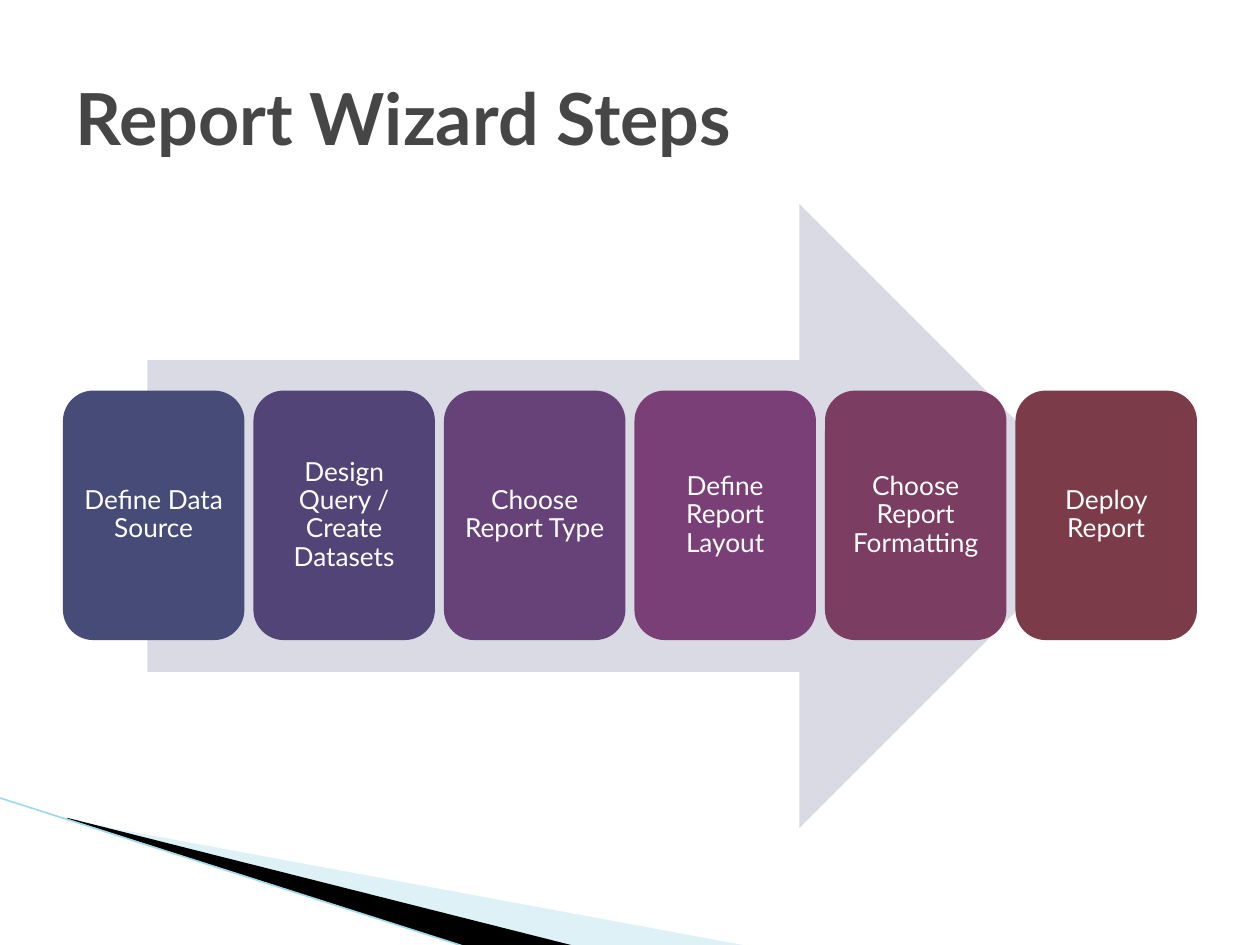
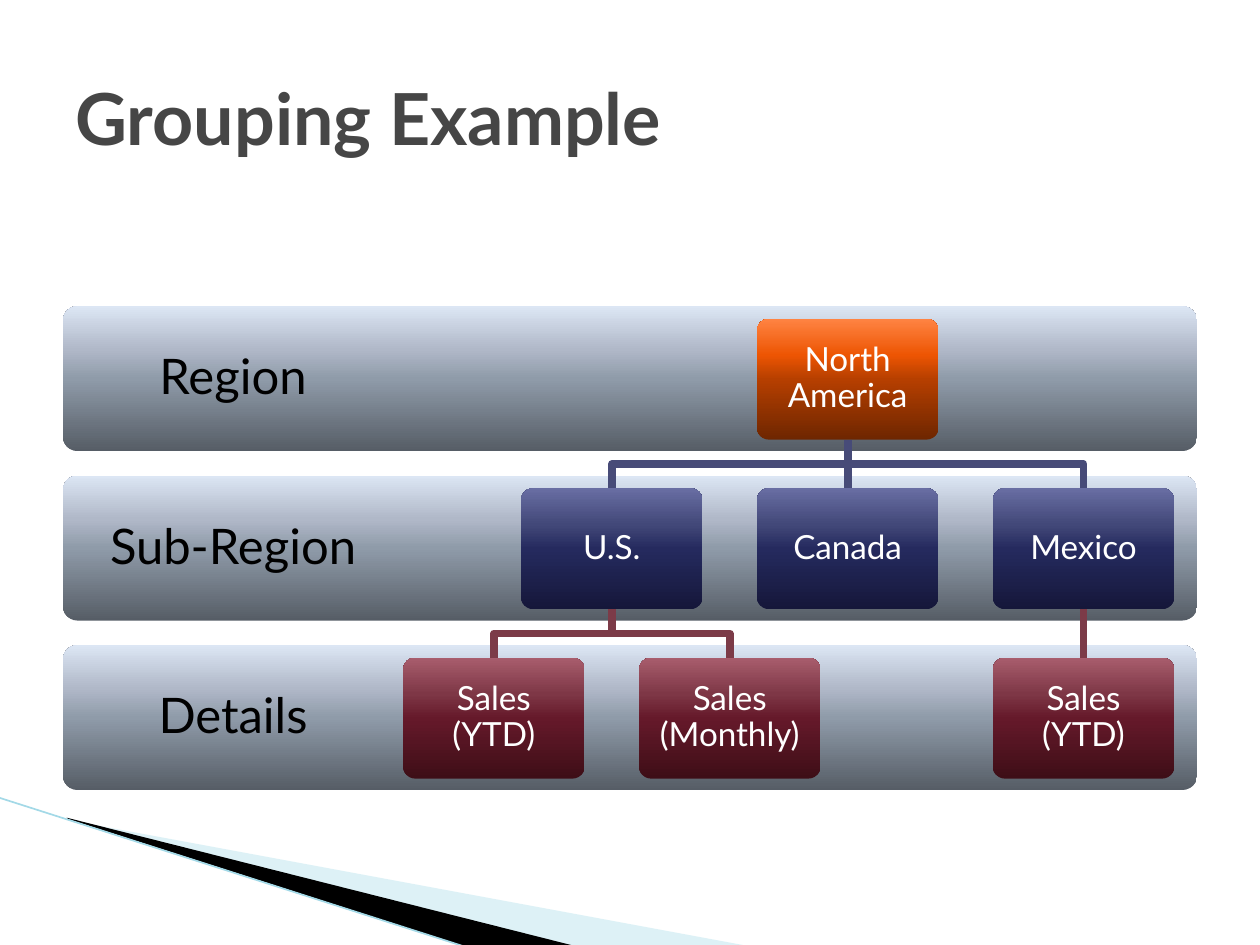
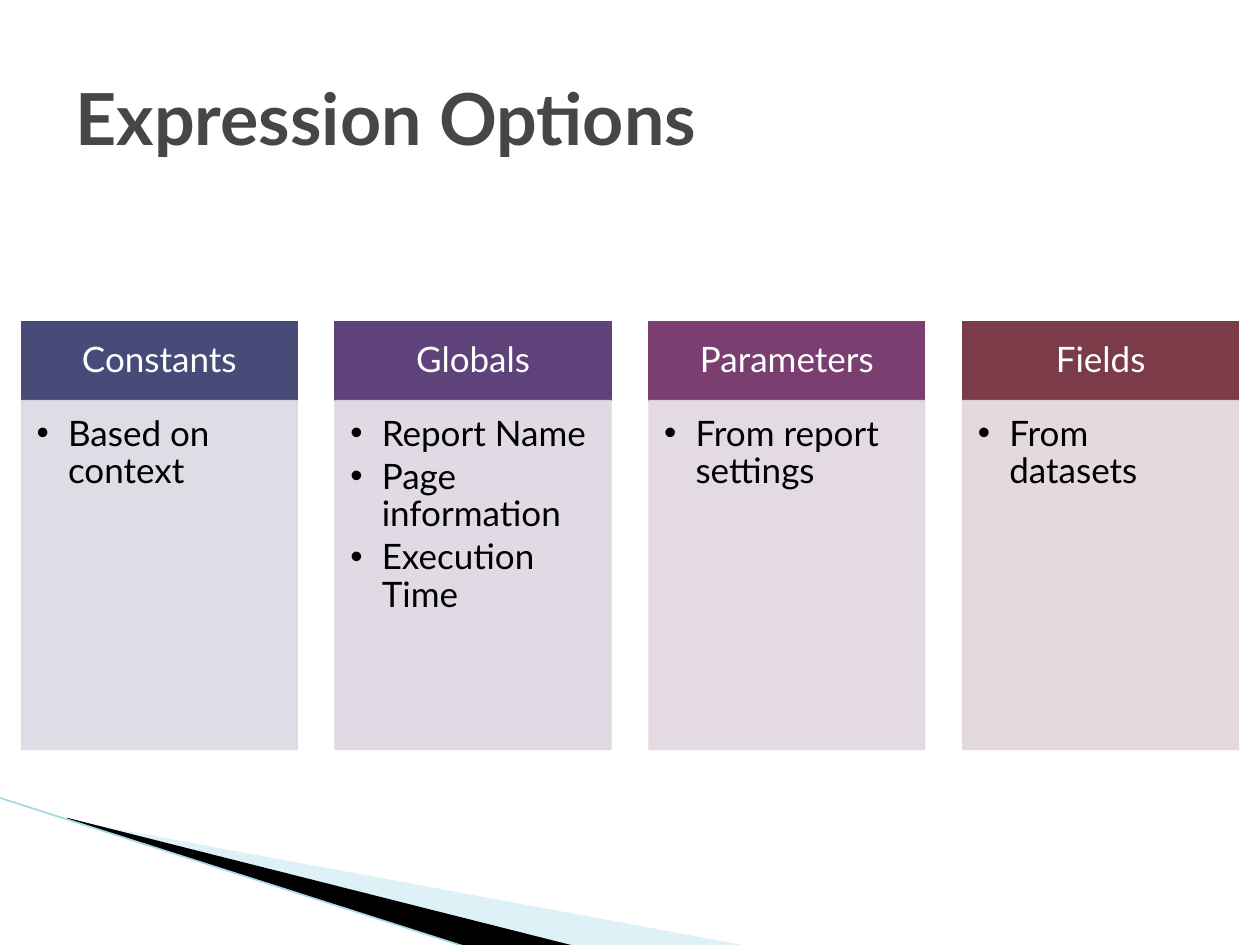
from lxml.etree import SubElement
from pptx import Presentation
from pptx.dml.color import RGBColor
from pptx.enum.shapes import MSO_CONNECTOR as CONNECTOR, MSO_SHAPE as SHAPE
from pptx.enum.text import MSO_ANCHOR as ANCHOR, PP_ALIGN as ALIGN
from pptx.oxml.ns import qn
from pptx.util import Inches, Pt

FONT = "Lato"
WHITE = RGBColor(0xFF, 0xFF, 0xFF)
BLACK = RGBColor(0, 0, 0)
TITLE_GREY = RGBColor(0x46, 0x46, 0x46)
PALE_CYAN = RGBColor(0xAB, 0xDE, 0xEA)
LINE_CYAN = RGBColor(0xA3, 0xD9, 0xE7)
MIST = RGBColor(0xD9, 0xDA, 0xE3)
LILAC = RGBColor(0xDD, 0xD7, 0xE2)
PINK = RGBColor(0xE2, 0xD7, 0xE0)
ROSE = RGBColor(0xE2, 0xD7, 0xD8)
NAVY = RGBColor(0x47, 0x4B, 0x78)
INDIGO = RGBColor(0x53, 0x44, 0x78)
VIOLET = RGBColor(0x66, 0x42, 0x79)
PURPLE = RGBColor(0x5F, 0x42, 0x79)
PLUM = RGBColor(0x7A, 0x3F, 0x77)
MAGENTA = RGBColor(0x7B, 0x3E, 0x71)
BERRY = RGBColor(0x7B, 0x3D, 0x61)
MAROON = RGBColor(0x7C, 0x3B, 0x48)

# Gradient colours from bottom to top, at the positions in GRADIENT_STOPS
GRADIENT_STOPS = (0, 50, 70, 100)
STEEL_GRADIENT = ("565D66", "8F9BA9", "B0B8C8", "DCE6F4")
ORANGE_GRADIENT = ("6E2600", "B63F00", "ED5503", "FF8443")
NAVY_GRADIENT = ("15173A", "252A5E", "424879", "696EA3")
MAROON_GRADIENT = ("3E0E17", "65192A", "7E3746", "A85D6D")

# Content
STEPS = [
    ("Define Data Source", NAVY),
    ("Design Query / Create Datasets", INDIGO),
    ("Choose Report Type", VIOLET),
    ("Define Report Layout", PLUM),
    ("Choose Report Formatting", BERRY),
    ("Deploy Report", MAROON),
]
LEVELS = [  # band label, box gradient, colour of the line from the parent
    ("Region", ORANGE_GRADIENT, None),
    ("Sub-Region", NAVY_GRADIENT, NAVY),
    ("Details", MAROON_GRADIENT, MAROON),
]
NODES = [  # text, level, column, index of the parent
    ("North America", 0, 3, None),
    ("U.S.", 1, 1, 0),
    ("Canada", 1, 3, 0),
    ("Mexico", 1, 5, 0),
    ("Sales (YTD)", 2, 0, 1),
    ("Sales (Monthly)", 2, 2, 1),
    ("Sales (YTD)", 2, 5, 3),
]
OPTIONS = [
    ("Constants", NAVY, MIST, ["Based on context"]),
    ("Globals", PURPLE, LILAC,
     ["Report Name", "Page information", "Execution Time"]),
    ("Parameters", MAGENTA, PINK, ["From report settings"]),
    ("Fields", MAROON, ROSE, ["From datasets"]),
]


def add_bullet(paragraph):
    properties = paragraph._p.get_or_add_pPr()
    properties.set("marL", str(Inches(0.25)))
    properties.set("indent", str(-Inches(0.25)))
    SubElement(properties, qn("a:buFont"), typeface="Arial")
    SubElement(properties, qn("a:buChar"), char="•")


def write_text(shape, text, *, size, color=WHITE, bold=False, align=ALIGN.CENTER,
               anchor=ANCHOR.MIDDLE, insets=(0, 0, 0, 0), line_spacing=0.9,
               between=0, after=0, bullets=False):
    """Fill a shape with one paragraph per line of text; insets are l, t, r, b."""
    frame = shape.text_frame
    frame.word_wrap = True
    frame.vertical_anchor = anchor
    (frame.margin_left, frame.margin_top,
     frame.margin_right, frame.margin_bottom) = map(Inches, insets)
    frame.text = text
    for index, paragraph in enumerate(frame.paragraphs):
        if bullets:
            add_bullet(paragraph)
        paragraph.alignment = align
        paragraph.line_spacing = line_spacing
        paragraph.space_before = Pt(between if index else 0)
        paragraph.font.name = FONT
        paragraph.font.size = Pt(size)
        paragraph.font.bold = bold
        paragraph.font.color.rgb = color
    paragraph.space_after = Pt(after)


def set_alpha(shape, percent):
    for color in shape._element.spPr.iter(qn("a:srgbClr")):
        SubElement(color, qn("a:alpha"), val=str(percent * 1000))


def set_gradient(shape, colors):
    shape.fill.gradient()
    shape.fill.gradient_angle = 90
    stops = shape._element.spPr.find(qn("a:gradFill")).find(qn("a:gsLst"))
    stops.clear()
    for position, color in zip(GRADIENT_STOPS, colors):
        stop = SubElement(stops, qn("a:gs"), pos=str(position * 1000))
        SubElement(stop, qn("a:srgbClr"), val=color)


def add_box(slide, kind, at, fill, *, line=None, adjustments=()):
    """Add a preset shape; fill is one colour or a tuple of gradient colours."""
    shape = slide.shapes.add_shape(kind, *map(Inches, at))
    shape.shadow.inherit = False
    for index, value in enumerate(adjustments):
        shape.adjustments[index] = value
    if isinstance(fill, RGBColor):
        shape.fill.solid()
        shape.fill.fore_color.rgb = fill
    else:
        set_gradient(shape, fill)
    if line is None:
        shape.line.fill.background()
    else:
        shape.line.color.rgb = line
        shape.line.width = Pt(0.75)
    return shape


def add_outline(slide, points, *, fill=None, line=None, width=0):
    points = [(Inches(x), Inches(y)) for x, y in points]
    builder = slide.shapes.build_freeform(*points[0], scale=1.0)
    builder.add_line_segments(points[1:], close=fill is not None)
    shape = builder.convert_to_shape()
    shape.shadow.inherit = False
    if fill is None:
        shape.fill.background()
        shape.line.color.rgb = line
        shape.line.width = Pt(width)
    else:
        shape.fill.solid()
        shape.fill.fore_color.rgb = fill
        shape.line.fill.background()
    return shape


def add_line(slide, start, end, color, width):
    line = slide.shapes.add_connector(CONNECTOR.STRAIGHT, *map(Inches, start + end))
    line.line.color.rgb = color
    line.line.width = Pt(width)
    SubElement(line._element.spPr, qn("a:effectLst"))
    return line


def add_text_box(slide, at, text, **text_format):
    write_text(slide.shapes.add_textbox(*map(Inches, at)), text, **text_format)


def new_slide(presentation, title):
    """Add a slide with the shared corner wedges and title."""
    slide = presentation.slides.add_slide(presentation.slide_layouts[6])
    wedge = add_outline(slide, [(0.55, 6.51), (5.95, 7.51), (4.56, 7.51), (0.55, 6.5)],
                        fill=PALE_CYAN)
    set_alpha(wedge, 40)
    add_outline(slide, [(0.53, 6.49), (4.57, 7.51), (3.72, 7.52), (0.54, 6.5)],
                fill=BLACK)
    add_line(slide, (-0.01, 6.33), (3.71, 7.52), LINE_CYAN, 0.95)
    add_text_box(slide, (0.5, 0.3, 9, 1.25), title, size=41, color=TITLE_GREY,
                 bold=True, align=ALIGN.LEFT, line_spacing=1.0,
                 insets=(0.1, 0.05, 0.1, 0.05))
    return slide


def build_steps(presentation):
    slide = new_slide(presentation, "Report Wizard Steps")
    add_box(slide, SHAPE.RIGHT_ARROW, (1.17, 1.62, 7.65, 4.95), MIST,
            adjustments=(0.5, 0.5))
    width = 1.44
    pitch = (9 - width) / (len(STEPS) - 1)
    for index, (text, color) in enumerate(STEPS):
        card = add_box(slide, SHAPE.ROUNDED_RECTANGLE,
                       (0.5 + index * pitch, 3.1, width, 1.98), color,
                       adjustments=(0.167,))
        write_text(card, text, size=15, after=5.2, insets=(0.06,) * 4)


def build_grouping(presentation):
    slide = new_slide(presentation, "Grouping Example")
    band_top, band_pitch, band_height = 2.43, 1.345, 1.15
    node_width, node_height = 1.44, 0.96
    column_pitch = (7.88 - 3.2) / 5

    # Bands
    for level, (label, _, _) in enumerate(LEVELS):
        top = band_top + level * band_pitch
        add_box(slide, SHAPE.ROUNDED_RECTANGLE, (0.5, top, 9, band_height),
                STEEL_GRADIENT, adjustments=(0.1,))
        add_text_box(slide, (0.5, top, 2.7, band_height), label, size=28,
                     color=BLACK, after=9.8, insets=(0.22,) * 4)

    # Boxes, each joined to its parent
    placed = []
    for text, level, column, parent in NODES:
        _, gradient, line_color = LEVELS[level]
        left = 3.2 + column * column_pitch
        top = band_top + 0.1 + level * band_pitch
        box = add_box(slide, SHAPE.ROUNDED_RECTANGLE,
                      (left, top, node_width, node_height), gradient,
                      adjustments=(0.1,))
        write_text(box, text, size=19, after=6.7, insets=(0.08,) * 4)
        center = left + node_width / 2
        placed.append((box, center, top + node_height))
        if parent is None:
            continue
        parent_box, parent_center, parent_bottom = placed[parent]
        if column == NODES[parent][2]:
            line = add_line(slide, (parent_center, parent_bottom), (center, top),
                            line_color, 4.33)
            line.begin_connect(parent_box, 2)
            line.end_connect(box, 0)
        else:
            middle = (parent_bottom + top) / 2
            add_outline(slide, [(parent_center, parent_bottom), (parent_center, middle),
                                (center, middle), (center, top)],
                        line=line_color, width=4.33)


def build_options(presentation):
    slide = new_slide(presentation, "Expression Options")
    width, pitch = 2.19, 2.49
    for index, (heading, color, tint, items) in enumerate(OPTIONS):
        left = 0.17 + index * pitch
        header = add_box(slide, SHAPE.RECTANGLE, (left, 2.55, width, 0.63), color,
                         line=color)
        write_text(header, heading, size=20, after=7, insets=(0.16, 0.09, 0.16, 0.09))
        body = add_box(slide, SHAPE.RECTANGLE, (left, 3.18, width, 2.77), tint, line=tint)
        set_alpha(body, 90)
        write_text(body, "\n".join(items), size=20, color=BLACK, align=ALIGN.LEFT,
                   anchor=ANCHOR.TOP, insets=(0.12, 0.12, 0.16, 0.17),
                   between=3, after=3, bullets=True)


def main():
    presentation = Presentation()
    presentation.slide_width = Inches(10)
    presentation.slide_height = Inches(7.5)
    build_steps(presentation)
    build_grouping(presentation)
    build_options(presentation)
    presentation.save("out.pptx")


if __name__ == "__main__":
    main()
